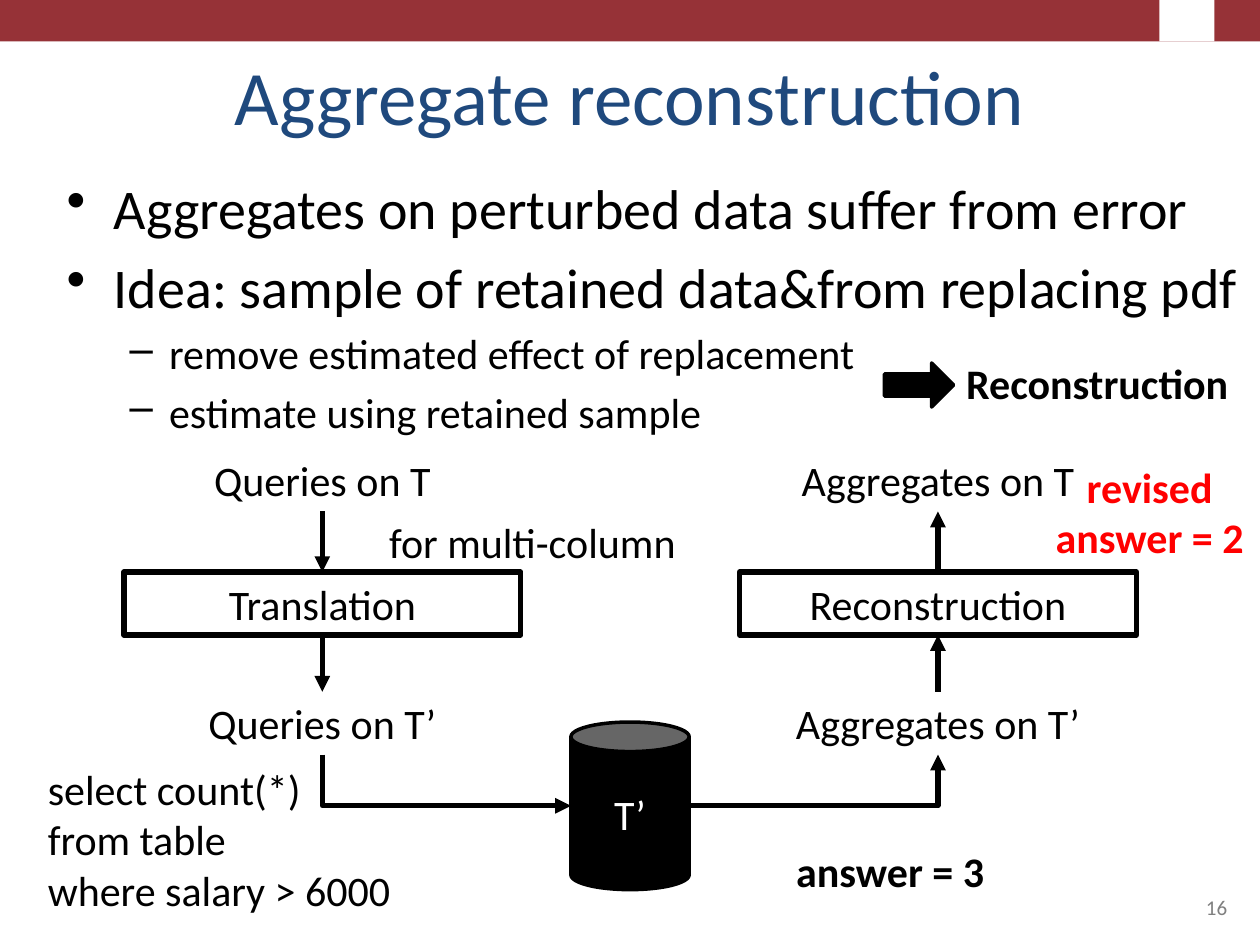
from lxml.etree import SubElement
from pptx import Presentation
from pptx.dml.color import RGBColor
from pptx.enum.shapes import MSO_CONNECTOR, MSO_SHAPE
from pptx.enum.text import MSO_ANCHOR, PP_ALIGN
from pptx.oxml.ns import qn
from pptx.util import Pt

BLACK = RGBColor(0, 0, 0)
WHITE = RGBColor(255, 255, 255)
RED = RGBColor(255, 0, 0)
GRAY = RGBColor(0x80, 0x80, 0x80)
NAVY = RGBColor(0x1F, 0x49, 0x7D)
MAROON = RGBColor(0x96, 0x32, 0x37)
FONT = "Calibri"
LEFT, CENTER, RIGHT = PP_ALIGN.LEFT, PP_ALIGN.CENTER, PP_ALIGN.RIGHT

TITLE = "Aggregate reconstruction"
BULLETS = [
    (0, "Aggregates on perturbed data suffer from error"),
    (0, "Idea: sample of retained data&from replacing pdf"),
    (1, "remove estimated effect of replacement"),
    (1, "estimate using retained sample"),
]
BULLET_LEVELS = [("•", 27, 27, 32), ("–", 58.5, 22.5, 24)]  # mark, margin, hang, size

# The middle step of each column is boxed.
QUERY_STEPS = ["Queries on T", "Translation", "Queries on T’"]
ANSWER_STEPS = ["Aggregates on T", "Reconstruction", "Aggregates on T’"]
STEP_TOPS = [256.3, 326.9, 395.3]
STEP_WIDTH, STEP_HEIGHT = 226.8, 36
QUERY_LEFT, ANSWER_LEFT = 70.8, 422.6
DATABASE = (326.2, 412.6, 67.6, 95.8)

# text lines, (left, top, width, height), alignment, bold, colour
NOTES = [
    (["for multi-column"], (215.3, 291.6, 187.2, 36), LEFT, False, BLACK),
    (["Reconstruction"], (545, 200.9, 166.3, 36), LEFT, True, BLACK),
    (["select count(*)", "from table", "where salary > 6000"],
     (20.2, 432.7, 272.2, 94.3), LEFT, False, BLACK),
    (["answer = 3"], (436.3, 479.5, 144.7, 36), CENTER, True, BLACK),
    (["revised answer = 2"], (584.6, 259.9, 144.7, 65.5), CENTER, True, RED),
]

prs = Presentation()
prs.slide_width, prs.slide_height = Pt(720), Pt(540)
slide = prs.slides.add_slide(prs.slide_layouts[6])


def style(paragraph, size, color, bold=False, align=LEFT):
    paragraph.alignment = align
    font = paragraph.font
    font.name, font.size, font.bold = FONT, Pt(size), bold
    font.color.rgb = color


def write(shape, lines, size=24, color=BLACK, bold=False, align=CENTER,
          anchor=MSO_ANCHOR.TOP):
    frame = shape.text_frame
    frame.word_wrap = True
    frame.vertical_anchor = anchor
    frame.text = "\n".join(lines)
    for paragraph in frame.paragraphs:
        style(paragraph, size, color, bold, align)


def add_text(box, lines, **options):
    shape = slide.shapes.add_textbox(*map(Pt, box))
    write(shape, lines, **options)
    return shape


def add_block(kind, box, fill=None, line_width=None):
    shape = slide.shapes.add_shape(kind, *map(Pt, box))
    shape.shadow.inherit = False
    if fill is None:
        shape.fill.background()
    else:
        shape.fill.solid()
        shape.fill.fore_color.rgb = fill
    if line_width is None:
        shape.line.fill.background()
    else:
        shape.line.color.rgb = BLACK
        shape.line.width = Pt(line_width)
    return shape


def add_arrow(kind, *ends):
    arrow = slide.shapes.add_connector(kind, *map(Pt, ends))
    arrow.line.color.rgb = BLACK
    arrow.line.width = Pt(3)
    SubElement(arrow.line._get_or_add_ln(), qn("a:tailEnd"), type="triangle")
    SubElement(arrow._element.spPr, qn("a:effectLst"))
    return arrow


def add_corner_arrow(x1, y1, x2, y2, vertical_first=False):
    """One-bend arrow; a vertical first leg needs a turned and mirrored frame."""
    if vertical_first:
        mid_x, mid_y = (x1 + x2) / 2, (y1 + y2) / 2
        half_w, half_h = (y2 - y1) / 2, (x2 - x1) / 2
        x1, x2 = mid_x + half_w, mid_x - half_w
        y1, y2 = mid_y - half_h, mid_y + half_h
    arrow = add_arrow(MSO_CONNECTOR.ELBOW, x1, y1, x2, y2)
    properties = arrow._element.spPr
    properties.find(qn("a:prstGeom")).set("prst", "bentConnector2")
    if vertical_first:
        properties.find(qn("a:xfrm")).set("rot", str(270 * 60000))


def add_steps(left, labels):
    steps = []
    for row, (label, top) in enumerate(zip(labels, STEP_TOPS)):
        box = (left, top, STEP_WIDTH, STEP_HEIGHT)
        if row == 1:
            step = add_block(MSO_SHAPE.RECTANGLE, box, line_width=3)
            write(step, [label])
        else:
            step = add_text(box, [label])
        steps.append(step)
    return steps


def join(steps, begin_side, end_side):
    for source, target in zip(steps, steps[1:]):
        arrow = add_arrow(MSO_CONNECTOR.STRAIGHT, 0, 0, 0, 0)
        arrow.begin_connect(source, begin_side)
        arrow.end_connect(target, end_side)


# Header band, with a plain block where the emblem sits
add_block(MSO_SHAPE.RECTANGLE, (0, 0, 720, 23.7), MAROON)
add_block(MSO_SHAPE.RECTANGLE, (662.5, 0, 31.5, 23.7), WHITE)

add_text((36, 21.6, 648, 62.6), [TITLE], size=44, color=NAVY,
         anchor=MSO_ANCHOR.BOTTOM)

body = add_text((31, 95.8, 715, 167.8), [text for _, text in BULLETS])
for row, (paragraph, (level, _)) in enumerate(zip(body.text_frame.paragraphs, BULLETS)):
    mark, margin, hang, size = BULLET_LEVELS[level]
    paragraph.level = level
    if row:
        paragraph.space_before = Pt(size * 0.2)
    properties = paragraph._p.get_or_add_pPr()
    properties.set("marL", str(Pt(margin)))
    properties.set("indent", str(-Pt(hang)))
    bullet = properties.makeelement(qn("a:buChar"), {"char": mark})
    properties.find(qn("a:defRPr")).addprevious(bullet)
    style(paragraph, size, BLACK)

add_text((516.2, 491.8, 192.2, 37.4), ["16"], size=12, color=GRAY, align=RIGHT,
         anchor=MSO_ANCHOR.BOTTOM)

# Query flow down, answer flow up, joined through the database
join(add_steps(QUERY_LEFT, QUERY_STEPS), 2, 0)
join(add_steps(ANSWER_LEFT, ANSWER_STEPS)[::-1], 0, 2)

database = add_block(MSO_SHAPE.CAN, DATABASE, BLACK, 2)
write(database, ["T’"], color=WHITE, anchor=MSO_ANCHOR.MIDDLE)

db_left, db_top, db_width, db_height = DATABASE
db_middle = db_top + db_height / 2
flow_bottom = STEP_TOPS[-1] + STEP_HEIGHT
add_corner_arrow(QUERY_LEFT + STEP_WIDTH / 2, flow_bottom, db_left, db_middle,
                 vertical_first=True)
add_corner_arrow(db_left + db_width, db_middle, ANSWER_LEFT + STEP_WIDTH / 2, flow_bottom)

add_block(MSO_SHAPE.RIGHT_ARROW, (505.4, 207.4, 39.6, 25.2), BLACK, 2)
for lines, box, align, bold, color in NOTES:
    add_text(box, lines, align=align, bold=bold, color=color)

prs.save("out.pptx")
